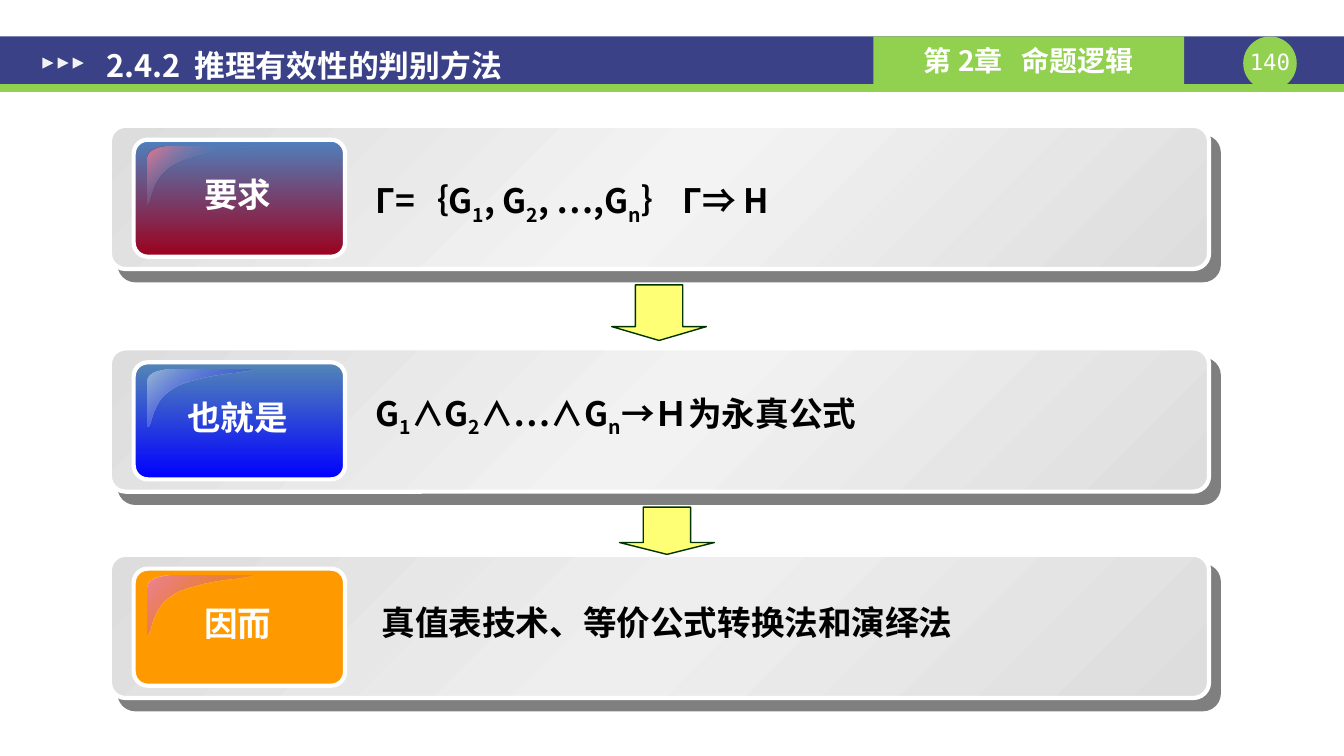
from dataclasses import dataclass

from lxml import etree
from pptx import Presentation
from pptx import util as u
from pptx.dml.color import RGBColor
from pptx.enum import shapes, text
from pptx.oxml import ns

SANS = "Noto Sans CJK SC"
MONO = "DejaVu Sans Mono"
WHITE, GREEN, NAVY = "FFFFFF", "92D050", "3A4187"
SHAPE = shapes.MSO_SHAPE
LEFT, CENTER = text.PP_ALIGN.LEFT, text.PP_ALIGN.CENTER
TOP, MIDDLE = text.MSO_ANCHOR.TOP, text.MSO_ANCHOR.MIDDLE
INSETS = (0.25, 0.13)

# Curved highlight in cm from its top left corner: a segment has
# one point for a line, or two controls and an end point for a curve
GLOSS_START = (0.53, 0)
GLOSS_SEGMENTS = [
    [(0.23, 0), (0, 0.13), (0, 0.3)],
    [(0, 1.45)],
    [(0.13, 1.47), (0.05, 0.76), (0.74, 0.43)],
    [(1.4, 0.1), (2.67, 0.08), (2.64, 0)],
]


@dataclass
class Stop:
    position: int
    color: str
    alpha: int = 100


@dataclass
class Box:
    left: float
    top: float
    width: float
    height: float

    def lengths(self) -> list:
        return [u.Cm(n) for n in (self.left, self.top, self.width, self.height)]


@dataclass
class Step:
    top: float
    label: str
    content: str  # every second part between bars is a subscript
    content_left: float
    content_offset: float
    panel_middle: str
    badge: list[Stop]
    gloss: list[Stop]


STEPS = [
    Step(3.17, "要求", "Г=｛G|1|, G|2|, …,G|n|｝ Г⇒ H", 9.22, 1.24, "F3F3F3",
         [Stop(0, "4F81BD"), Stop(100, "9C001D")],
         [Stop(0, "EE748A"), Stop(50, "4F81BD", 0), Stop(100, "EE748A")]),
    Step(8.78, "也就是", "G|1|∧G|2|∧…∧G|n|→Ｈ为永真公式", 9.22, 0.99, "F2F2F2",
         [Stop(0, "5487B6"), Stop(100, "0000FF")],
         [Stop(0, "9BB9D4"), Stop(100, "0000FF", 0)]),
    Step(13.98, "因而", "真值表技术、等价公式转换法和演绎法", 9.37, 1.05, "EEEEEE",
         [Stop(0, "FF9900")],
         [Stop(0, "EF8397"), Stop(100, "C0504D", 0)]),
]
ARROWS = [Box(15.42, 7.18, 2.39, 1.4), Box(15.62, 12.78, 2.39, 1.19)]


def rgb(color: str) -> RGBColor:
    return RGBColor.from_string(color)


def add_xml(parent, tag: str, **attributes):
    values = {name: str(value) for name, value in attributes.items()}
    return etree.SubElement(parent, ns.qn(tag), values)


def paint(shape, stops: list[Stop], angle: int = 45) -> None:
    """Fill with one colour, or with a gradient when there are more stops."""
    if len(stops) == 1:
        shape.fill.solid()
        shape.fill.fore_color.rgb = rgb(stops[0].color)
        holders = [shape._element.spPr.find(ns.qn("a:solidFill"))]
    else:
        shape.fill.gradient()
        gradient = shape._element.spPr.find(ns.qn("a:gradFill"))
        gradient.clear()
        stop_list = add_xml(gradient, "a:gsLst")
        holders = [add_xml(stop_list, "a:gs", pos=stop.position * 1000) for stop in stops]
        for holder, stop in zip(holders, stops):
            add_xml(holder, "a:srgbClr", val=stop.color)
        add_xml(gradient, "a:lin", ang=angle * 60000, scaled=0)
    for holder, stop in zip(holders, stops):
        if stop.alpha < 100:
            add_xml(holder[0], "a:alpha", val=stop.alpha * 1000)


def outline(shape, color: str = "", width: float = 1) -> None:
    shape.shadow.inherit = False
    if color:
        shape.line.color.rgb = rgb(color)
        shape.line.width = u.Pt(width)
    else:
        shape.line.fill.background()


def add_block(parent, kind, box: Box, stops: list[Stop], line: str = "",
              width: float = 1, angle: int = 45):
    shape = parent.add_shape(kind, *box.lengths())
    paint(shape, stops, angle)
    outline(shape, line, width)
    return shape


def write(shape, content: str, size: float, color: str = WHITE, font: str = SANS,
          bold: bool = True, align=LEFT, anchor=TOP, insets: tuple = INSETS,
          gap: float = 0) -> None:
    """Write the parts between bars; odd parts are subscripts, or spaces widened by gap."""
    frame = shape.text_frame
    frame.word_wrap = True
    frame.vertical_anchor = anchor
    frame.margin_left = frame.margin_right = u.Cm(insets[0])
    frame.margin_top = frame.margin_bottom = u.Cm(insets[1])
    paragraph = frame.paragraphs[0]
    paragraph.alignment = align
    for index, part in enumerate(content.split("|")):
        run = paragraph.add_run()
        run.text = part
        run.font.size = u.Pt(size)
        run.font.bold = bold
        run.font.name = font
        run.font.color.rgb = rgb(color)
        add_xml(run.font._element, "a:ea", typeface=font)
        if index % 2 and gap:
            run.font._element.set("spc", str(round(gap * 100)))
        elif index % 2:
            run.font._element.set("baseline", "-25000")


def add_label(parent, box: Box, content: str, size: float, **style) -> None:
    write(parent.add_textbox(*box.lengths()), content, size, **style)


def add_gloss(parent, left: float, top: float, stops: list[Stop]) -> None:
    corners = [GLOSS_START] + [segment[-1] for segment in GLOSS_SEGMENTS]
    points = [(u.Cm(left + x), u.Cm(top + y)) for x, y in corners]
    builder = parent.build_freeform(*points[0], scale=1.0)
    builder.add_line_segments(points[1:], close=True)
    gloss = builder.convert_to_shape()
    # Bend the segments that have control points
    lines = list(gloss._element.iter(ns.qn("a:lnTo")))
    for line, segment in zip(lines, GLOSS_SEGMENTS):
        if len(segment) == 3:
            curve = etree.Element(ns.qn("a:cubicBezTo"))
            for x, y in segment:
                add_xml(curve, "a:pt", x=int(u.Cm(x)), y=int(u.Cm(y)))
            line.getparent().replace(line, curve)
    paint(gloss, stops)
    outline(gloss)


def add_header(parent) -> None:
    add_block(parent, SHAPE.RECTANGLE, Box(0, 0.92, 33.88, 1.2), [Stop(0, NAVY)])
    add_block(parent, SHAPE.RECTANGLE, Box(0, 2.12, 33.88, 0.2), [Stop(0, GREEN)])
    add_block(parent, SHAPE.OVAL, Box(31.34, 0.92, 1.35, 1.35), [Stop(0, GREEN)])
    add_label(parent, Box(31.34, 1.22, 1.35, 0.69), "140", 16, font=MONO,
              bold=False, align=CENTER, insets=(0, 0))
    chapter = add_block(parent, SHAPE.RECTANGLE, Box(22.02, 0.92, 7.83, 1.2), [Stop(0, GREEN)])
    write(chapter, "第 2章| |命题逻辑", 20, align=CENTER, anchor=MIDDLE, gap=9)
    for index in range(3):
        marker = add_block(parent, SHAPE.ISOSCELES_TRIANGLE,
                           Box(1.07 + 0.38 * index, 1.45, 0.28, 0.28), [Stop(0, "F2F2F2")])
        marker.rotation = 90
    add_label(parent, Box(2.35, 0.36, 22.4, 2.57), "2.4.2| |推理有效性的判别方法", 22,
              anchor=MIDDLE, insets=(0.33, 0.18), gap=4.9)


def add_step(parent, step: Step) -> None:
    group = parent.add_group_shape().shapes
    # Panel with a hard shadow
    panel_stops = [Stop(0, "DDDDDD"), Stop(50, step.panel_middle), Stop(100, "DDDDDD")]
    panel = add_block(group, SHAPE.ROUNDED_RECTANGLE, Box(2.77, step.top, 27.71, 3.61),
                      panel_stops, WHITE, 3)
    panel.adjustments[0] = 0.11
    effects = panel._element.spPr.find(ns.qn("a:effectLst"))
    shadow = add_xml(effects, "a:outerShdw", dist=u.Pt(10.6), dir=49 * 60000,
                     algn="ctr", rotWithShape=0)
    add_xml(add_xml(shadow, "a:srgbClr", val="000000"), "a:alpha", val=50000)
    # Badge with its highlight and label
    badge = add_block(group, SHAPE.ROUNDED_RECTANGLE, Box(3.37, step.top + 0.35, 5.33, 2.95),
                      step.badge, WHITE, 3, angle=90)
    badge.adjustments[0] = 0.12
    add_gloss(group, 3.71, step.top + 0.53, step.gloss)
    add_label(group, Box(3.33, step.top + 1.09, 5.33, 1.27), step.label, 24, align=CENTER)
    # Statement
    add_label(group, Box(step.content_left, step.top + step.content_offset, 20.37, 1.27),
              step.content, 24, color="000000")


def main() -> None:
    presentation = Presentation()
    presentation.slide_width, presentation.slide_height = u.Cm(33.88), u.Cm(19.05)
    slide = presentation.slides.add_slide(presentation.slide_layouts[6])
    add_header(slide.shapes)
    for step in STEPS:
        add_step(slide.shapes, step)
    for box in ARROWS:
        arrow = add_block(slide.shapes, SHAPE.DOWN_ARROW, box, [Stop(0, "FFFF66", 90)], "003300")
        arrow.adjustments[0], arrow.adjustments[1] = 0.5, 0.25
    presentation.save("out.pptx")


if __name__ == "__main__":
    main()
